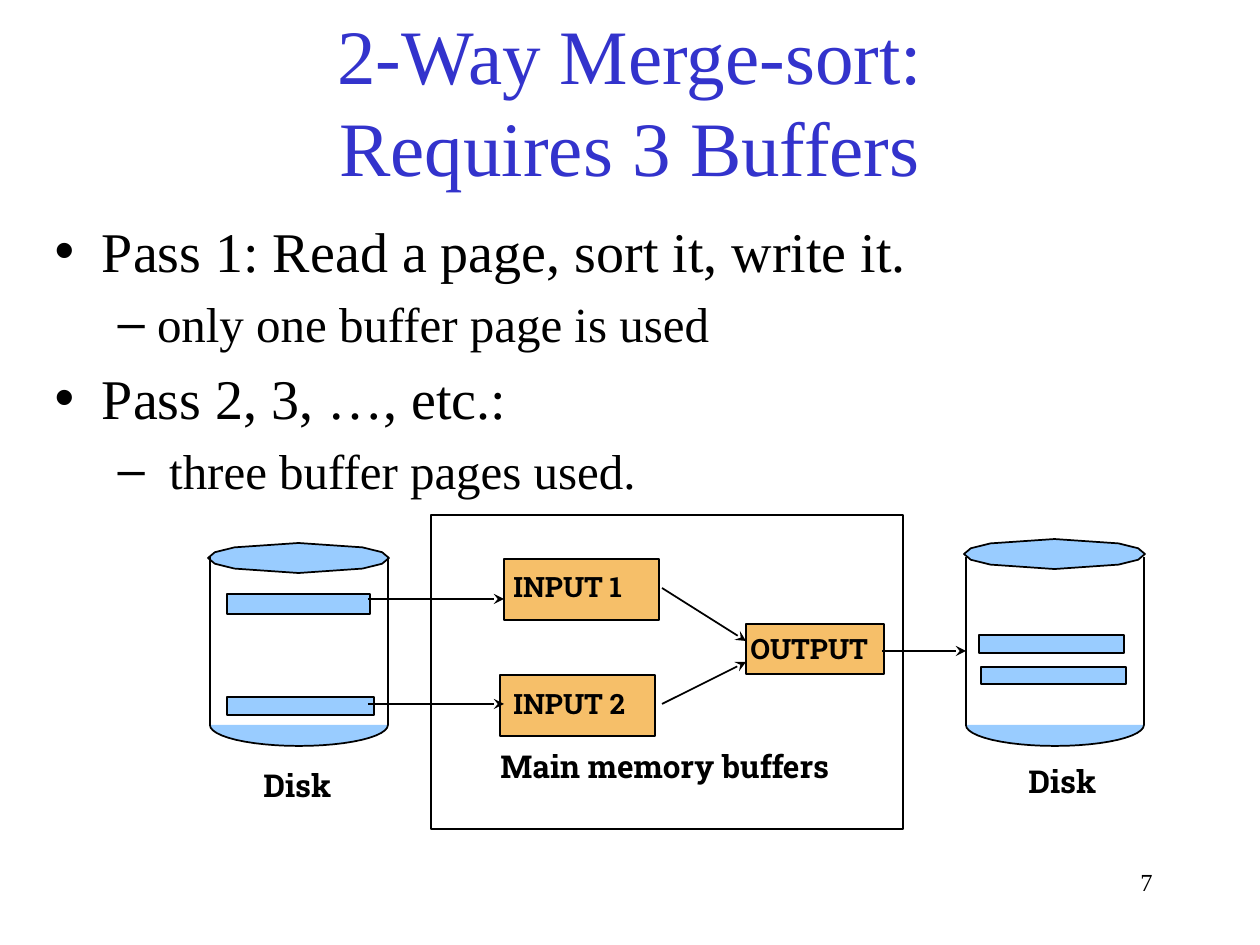
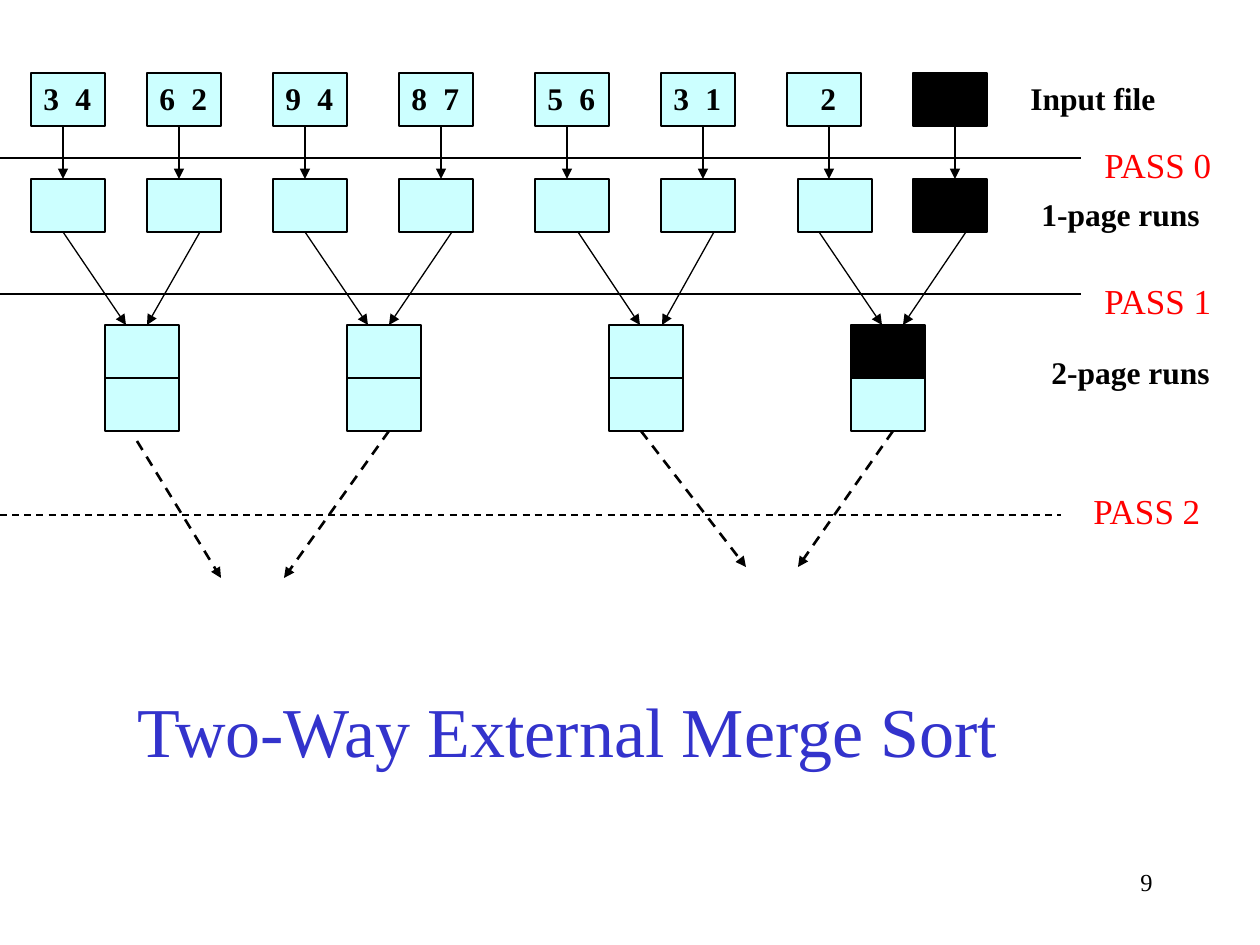
from dataclasses import dataclass
from math import cos, pi, sin

from lxml.etree import SubElement
from pptx import Presentation
from pptx.dml.color import RGBColor
from pptx.enum.dml import MSO_LINE_DASH_STYLE as Dash
from pptx.enum.shapes import MSO_CONNECTOR as Connector, MSO_SHAPE as Shape
from pptx.enum.text import MSO_ANCHOR as Anchor, MSO_AUTO_SIZE as AutoSize, PP_ALIGN as Align
from pptx.oxml.ns import qn
from pptx.slide import Slide
from pptx.util import Emu, Inches, Pt

EMU_PER_PX = 914400 / 126


def px(n: float) -> Emu:
    return Emu(round(n * EMU_PER_PX))


@dataclass(frozen=True)
class Theme:
    ink: str = "000000"
    title: str = "3333CC"
    disk: str = "99CCFF"
    buffer: str = "F6BF69"
    page: str = "CCFFFF"
    accent: str = "FF0000"
    serif: str = "Times New Roman"
    slab: str = "Roboto Slab"
    title_size: int = 44
    closing_title_size: int = 40
    body_sizes: tuple[int, ...] = (32, 28)
    pass_size: int = 20
    label_size: int = 18
    buffer_size: int = 16
    number_size: int = 14
    thin: float = 0.75
    line: float = 1
    thick: float = 1.5


T = Theme()


@dataclass(frozen=True)
class Box:
    x: int
    y: int
    w: int
    h: int


@dataclass(frozen=True)
class Line:
    x1: int
    y1: int
    x2: int
    y2: int
    width: float = T.line
    head: str = ""
    dashed: bool = False


@dataclass(frozen=True)
class Label:
    text: str
    box: Box
    size: int = T.label_size
    font: str = T.serif
    color: str = T.ink
    bold: bool = True
    wrap: bool = False
    align: Align = Align.LEFT


@dataclass(frozen=True)
class Buffer:
    box: Box
    label: Label


@dataclass(frozen=True)
class Disk:
    left: int
    lid_top: int
    label: Label
    records: tuple[Box, ...]


@dataclass(frozen=True)
class Page:
    left: int
    run_left: int
    arrow_x: int
    merge_x: int
    tip_x: int
    digits: str
    digit_dx: int = 0
    fill: str = T.page


@dataclass(frozen=True)
class Run:
    left: int
    top_fill: str
    next_merge: Line


def add_run(p, text: str, size: int, font: str = T.serif, color: str = T.ink, bold: bool = False) -> None:
    r = p.add_run()
    r.text = text
    f = r.font
    f.name, f.size, f.bold = font, Pt(size), bold
    f.color.rgb = RGBColor.from_string(color)


def place(sp, box: Box) -> None:
    sp.left, sp.top, sp.width, sp.height = px(box.x), px(box.y), px(box.w), px(box.h)


def style(sp, fill: str, width: float) -> None:
    sp.shadow.inherit = False
    if fill:
        sp.fill.solid()
        sp.fill.fore_color.rgb = RGBColor.from_string(fill)
    else:
        sp.fill.background()
    sp.line.color.rgb = RGBColor.from_string(T.ink)
    sp.line.width = Pt(width)


def add_box(s: Slide, box: Box, fill: str = "", width: float = T.line) -> None:
    sp = s.shapes.add_shape(Shape.RECTANGLE, px(box.x), px(box.y), px(box.w), px(box.h))
    style(sp, fill, width)


def add_label(s: Slide, label: Label) -> None:
    b = label.box
    sp = s.shapes.add_textbox(px(b.x), px(b.y), px(b.w), px(b.h))
    tf = sp.text_frame
    tf.word_wrap = label.wrap
    tf.auto_size = AutoSize.NONE if label.wrap else AutoSize.SHAPE_TO_FIT_TEXT
    p = tf.paragraphs[0]
    p.alignment = label.align
    add_run(p, label.text, label.size, label.font, label.color, label.bold)


def add_line(s: Slide, line: Line) -> None:
    c = s.shapes.add_connector(Connector.STRAIGHT, px(line.x1), px(line.y1), px(line.x2), px(line.y2))
    c.line.color.rgb = RGBColor.from_string(T.ink)
    c.line.width = Pt(line.width)
    if line.dashed:
        c.line.dash_style = Dash.DASH
    if line.head:
        SubElement(c.line._get_or_add_ln(), qn("a:tailEnd"), type=line.head)
    SubElement(c._element.spPr, qn("a:effectLst"))


def add_curve(s: Slide, box: Box, angles: list[float], cy: int, ry: int, closed: bool) -> None:
    cx, rx = box.x + box.w / 2, box.w / 2
    points = [(px(cx + rx * cos(a)), px(cy + ry * sin(a))) for a in angles]
    fb = s.shapes.build_freeform(*points[0])
    fb.add_line_segments(points[1:], close=closed)
    style(fb.convert_to_shape(), T.disk, T.line)


def add_title(s: Slide, lines: list[str], box: Box, size: int) -> None:
    sp = s.shapes.title
    place(sp, box)
    tf = sp.text_frame
    tf.auto_size, tf.vertical_anchor = AutoSize.NONE, Anchor.MIDDLE
    p = tf.paragraphs[0]
    p.alignment = Align.CENTER
    for i, text in enumerate(lines):
        if i:
            p.add_line_break()
        add_run(p, text, size, color=T.title)


def add_body(s: Slide, items: list[tuple[int, str]], box: Box) -> None:
    sp = s.placeholders[1]
    place(sp, box)
    tf = sp.text_frame
    tf.auto_size = AutoSize.NONE
    for i, (level, text) in enumerate(items):
        p = tf.add_paragraph() if i else tf.paragraphs[0]
        p.level = level
        add_run(p, text, T.body_sizes[level])


def add_number(s: Slide, number: int) -> None:
    add_label(s, Label(str(number), Box(903, 861, 262, 63), T.number_size,
                       bold=False, wrap=True, align=Align.RIGHT))


def add_disk(s: Slide, disk: Disk) -> None:
    side_top, side_bottom, width = 557, 725, 178
    lid = Box(disk.left - 2, disk.lid_top, 181, 30)
    lid_angles = [k * pi / 8 for k in range(16) if k % 8 not in (3, 5)]
    add_curve(s, lid, lid_angles, lid.y + 15, 15, True)
    base = Box(disk.left, side_bottom, width, 21)
    add_curve(s, base, [pi - k * pi / 24 for k in range(25)], base.y, base.h, False)
    for x in (disk.left, disk.left + width):
        add_line(s, Line(x, side_top, x, side_bottom))
    for record in disk.records:
        add_box(s, record, T.disk)
    add_label(s, disk.label)


def buffer_label(text: str, x: int, y: int, w: int) -> Label:
    return Label(text, Box(x, y, w, 47), T.buffer_size, T.slab)


def slab_label(text: str, box: Box, wrap: bool = False) -> Label:
    return Label(text, box, font=T.slab, wrap=wrap)


def buffers_slide(prs) -> None:
    s = prs.slides.add_slide(prs.slide_layouts[1])
    add_title(s, ["2-Way Merge-sort:", "Requires 3 Buffers"], Box(84, 21, 1092, 158), T.title_size)
    add_body(s, [
        (0, "Pass 1: Read a page, sort it, write it."),
        (1, "only one buffer page is used"),
        (0, "Pass 2, 3, …, etc.:"),
        (1, " three buffer pages used."),
    ], Box(42, 210, 1207, 651))
    for disk in (
        Disk(210, 543, slab_label("Disk", Box(251, 760, 98, 50)),
             (Box(227, 594, 143, 20), Box(227, 697, 147, 18))),
        Disk(966, 539, slab_label("Disk", Box(1016, 756, 98, 50)),
             (Box(979, 635, 145, 18), Box(981, 667, 145, 17))),
    ):
        add_disk(s, disk)
    add_box(s, Box(431, 515, 472, 314))
    for buffer in (
        Buffer(Box(504, 559, 155, 61), buffer_label("INPUT 1", 501, 563, 145)),
        Buffer(Box(500, 675, 155, 61), buffer_label("INPUT 2", 501, 680, 145)),
        Buffer(Box(746, 624, 138, 50), buffer_label("OUTPUT", 738, 625, 147)),
    ):
        add_box(s, buffer.box, T.buffer)
        add_label(s, buffer.label)
    add_label(s, slab_label("Main memory buffers", Box(488, 741, 375, 88), wrap=True))
    for ends in (
        (368, 599, 504, 599), (368, 704, 504, 704),
        (662, 588, 746, 641), (662, 704, 746, 662), (882, 651, 966, 651),
    ):
        add_line(s, Line(*ends, head="stealth"))
    add_number(s, 7)


def merge_slide(prs) -> None:
    s = prs.slides.add_slide(prs.slide_layouts[5])
    w, h = 74, 53
    input_top, pass0_top, pass1_top = 73, 179, 325
    add_title(s, ["Two-Way External Merge Sort"], Box(32, 693, 1071, 74), T.closing_title_size)
    for page in (
        Page(31, 31, 63, 63, 126, "34"),
        Page(147, 147, 179, 200, 147, "62"),
        Page(273, 273, 305, 305, 368, "94"),
        Page(399, 399, 441, 452, 389, "87"),
        Page(535, 535, 567, 578, 640, "56"),
        Page(661, 661, 703, 714, 662, "31"),
        Page(787, 798, 829, 819, 882, "2", digit_dx=21),
        Page(913, 913, 955, 966, 903, "", fill=T.ink),
    ):
        add_box(s, Box(page.left, input_top, w, h), page.fill, T.thin)
        add_box(s, Box(page.run_left, pass0_top, w, h), page.fill, T.thin)
        for i, digit in enumerate(page.digits):
            add_label(s, Label(digit, Box(page.left + page.digit_dx + 32 * i, input_top, 42, 50)))
        add_line(s, Line(page.arrow_x, input_top + h, page.arrow_x, pass0_top, T.thin, "triangle"))
        add_line(s, Line(page.merge_x, pass0_top + h, page.tip_x, pass1_top, T.thin, "triangle"))
    for run in (
        Run(105, T.page, Line(137, 441, 221, 578, T.thick, "triangle", True)),
        Run(347, T.page, Line(389, 431, 284, 578, T.thick, "triangle", True)),
        Run(609, T.page, Line(641, 431, 746, 567, T.thick, "triangle", True)),
        Run(851, T.ink, Line(893, 431, 798, 567, T.thick, "triangle", True)),
    ):
        for i, fill in enumerate((run.top_fill, T.page)):
            add_box(s, Box(run.left, pass1_top + i * h, w, h), fill, T.thin)
        add_line(s, run.next_merge)
    for line in (
        Line(0, 158, 1081, 158, T.thin),
        Line(0, 294, 1081, 294, T.thin),
        Line(0, 515, 1061, 515, dashed=True),
    ):
        add_line(s, line)
    for i, (x, y) in enumerate(((1092, 137), (1092, 273), (1081, 483))):
        add_label(s, Label(f"PASS {i}", Box(x, y, 135, 54), T.pass_size, color=T.accent, bold=False))
    for text, x, y, width in (
        ("Input file", 1018, 73, 150), ("1-page runs", 1029, 189, 184), ("2-page runs", 1039, 347, 184),
    ):
        add_label(s, Label(text, Box(x, y, width, 50)))
    add_number(s, 9)


prs = Presentation()
prs.slide_width, prs.slide_height = Inches(10), Inches(7.5)
buffers_slide(prs)
merge_slide(prs)
prs.save("out.pptx")
